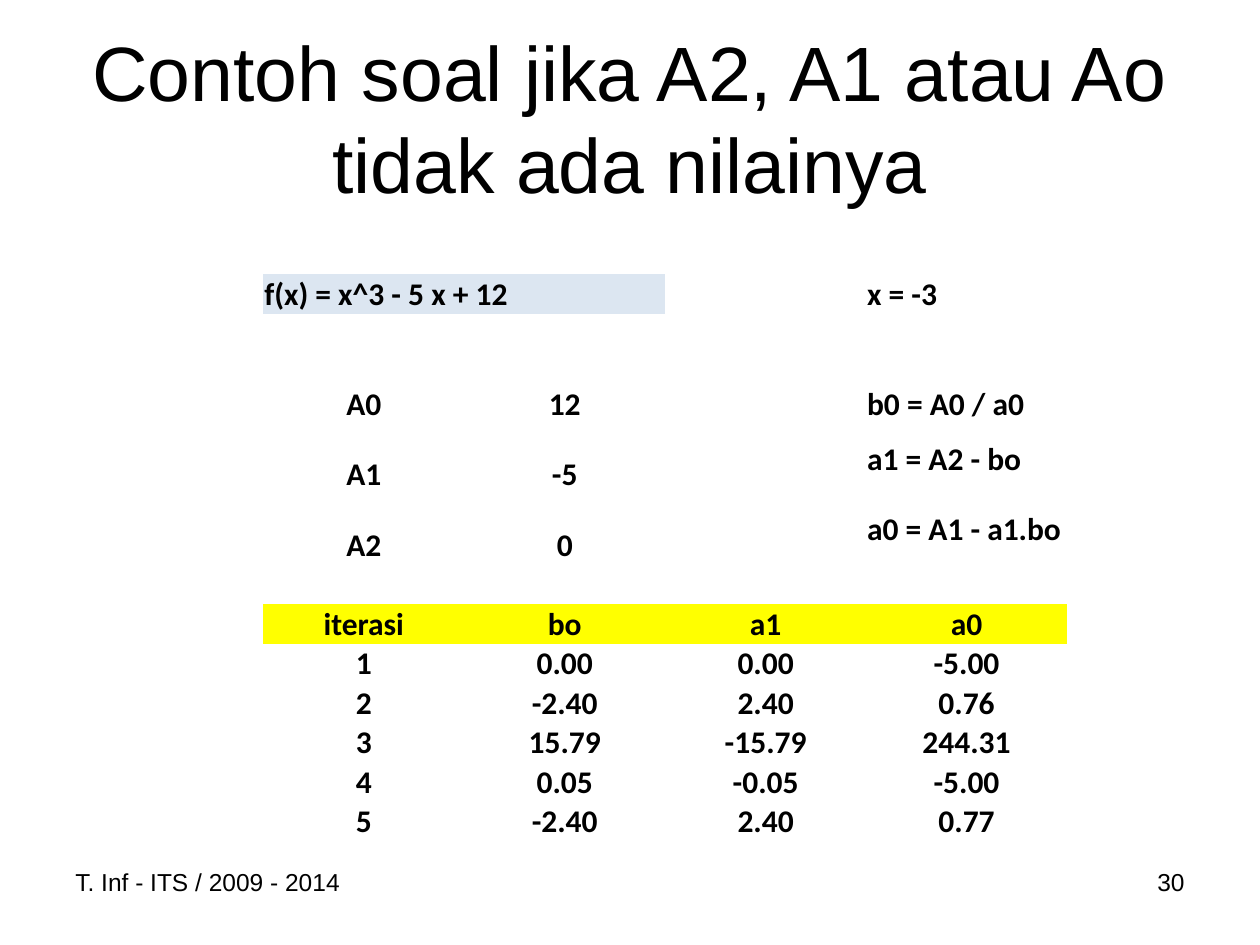
from pptx import Presentation
from pptx.dml.color import RGBColor
from pptx.enum.text import MSO_ANCHOR, PP_ALIGN
from pptx.oxml.ns import qn
from pptx.util import Cm, Pt

BLACK = RGBColor(0x00, 0x00, 0x00)
PALE_BLUE = RGBColor(0xDC, 0xE6, 0xF1)
YELLOW = RGBColor(0xFF, 0xFF, 0x00)

NO_STYLE_NO_GRID = "{2D5ABB26-0587-4C30-8999-92F81FD0307C}"
TITLE_FONT = {"name": "Arial", "size": Pt(44)}
FOOTER_FONT = {"name": "Arial", "size": Pt(14)}
TABLE_FONT = {"name": "Calibri", "size": Pt(18), "bold": True}
CELL_MARGINS = {"margin_left": Cm(0.02), "margin_right": Cm(0.02),
                "margin_top": Cm(0.02), "margin_bottom": 0}

ROWS = [
    ["f(x) = x^3 - 5 x + 12", "", "", "x = -3"],
    ["", "", "", ""],
    ["A0", "12", "", "b0 = A0 / a0"],
    ["A1", "-5", "", "a1 = A2 - bo"],
    ["A2", "0", "", "a0 = A1 - a1.bo"],
    ["", "", "", ""],
    ["iterasi", "bo", "a1", "a0"],
    ["1", "0.00", "0.00", "-5.00"],
    ["2", "-2.40", "2.40", "0.76"],
    ["3", "15.79", "-15.79", "244.31"],
    ["4", "0.05", "-0.05", "-5.00"],
    ["5", "-2.40", "2.40", "0.77"],
]
HEADER_ROW = 6
COEFFICIENT_ROWS = (2, 3, 4)
CENTRED_FORMULA_ROWS = (3, 4)
FORMULA_COL = 3


def set_attributes(obj, values):
    for name, value in values.items():
        setattr(obj, name, value)


def write_text(tf, text, font, align):
    p = tf.paragraphs[0]
    p.alignment = align
    if text:
        r = p.add_run()
        r.text = text
        set_attributes(r.font, font)
        r.font.color.rgb = BLACK


def add_title(slide, text):
    sp = slide.shapes.title
    set_attributes(sp, {"left": Cm(1.27), "top": Cm(0.76),
                        "width": Cm(22.86), "height": Cm(3.18)})
    sp.text_frame.vertical_anchor = MSO_ANCHOR.MIDDLE
    write_text(sp.text_frame, text, TITLE_FONT, PP_ALIGN.CENTER)


def add_footer(slide, left, text, align):
    sp = slide.shapes.add_textbox(left, Cm(17.35), Cm(5.92), Cm(1.32))
    sp.text_frame.word_wrap = True
    write_text(sp.text_frame, text, FOOTER_FONT, align)


def cell_layout(row, col):
    """Return the alignment and the vertical anchor of a cell."""
    in_iterations = row >= HEADER_ROW
    is_formula = row < HEADER_ROW and (row == 0 or col == FORMULA_COL)
    align = PP_ALIGN.LEFT if is_formula else PP_ALIGN.CENTER
    centred = in_iterations or (row in CENTRED_FORMULA_ROWS and col == FORMULA_COL)
    return align, MSO_ANCHOR.MIDDLE if centred else MSO_ANCHOR.BOTTOM


def fill_cell(cell, color):
    if color is None:
        cell.fill.background()
    else:
        cell.fill.solid()
        cell.fill.fore_color.rgb = color


def add_iteration_table(slide):
    frame = slide.shapes.add_table(len(ROWS), len(ROWS[0]), Cm(5.31), Cm(5.53),
                                   Cm(16.2), Cm(11.4))
    table = frame.table
    set_attributes(table, {"first_row": False, "horz_banding": False})
    table._tbl.tblPr.find(qn("a:tableStyleId")).text = NO_STYLE_NO_GRID
    for column in table.columns:
        column.width = Cm(4.05)
    for row, texts in enumerate(ROWS):
        table.rows[row].height = Cm(1.42 if row in COEFFICIENT_ROWS else 0.79)
        for col, text in enumerate(texts):
            cell = table.cell(row, col)
            align, anchor = cell_layout(row, col)
            set_attributes(cell, CELL_MARGINS)
            cell.vertical_anchor = anchor
            write_text(cell.text_frame, text, TABLE_FONT, align)
            fill_cell(cell, YELLOW if row == HEADER_ROW else None)
    table.cell(0, 0).merge(table.cell(0, 1))
    fill_cell(table.cell(0, 0), PALE_BLUE)


def main():
    prs = Presentation()
    prs.slide_width, prs.slide_height = Cm(25.4), Cm(19.05)
    slide = prs.slides.add_slide(prs.slide_layouts[5])
    add_title(slide, "Contoh soal jika A2, A1 atau Ao tidak ada nilainya")
    add_iteration_table(slide)
    add_footer(slide, Cm(1.27), "T. Inf - ITS / 2009 - 2014", PP_ALIGN.LEFT)
    add_footer(slide, Cm(18.21), "30", PP_ALIGN.RIGHT)
    prs.save("out.pptx")


if __name__ == "__main__":
    main()
